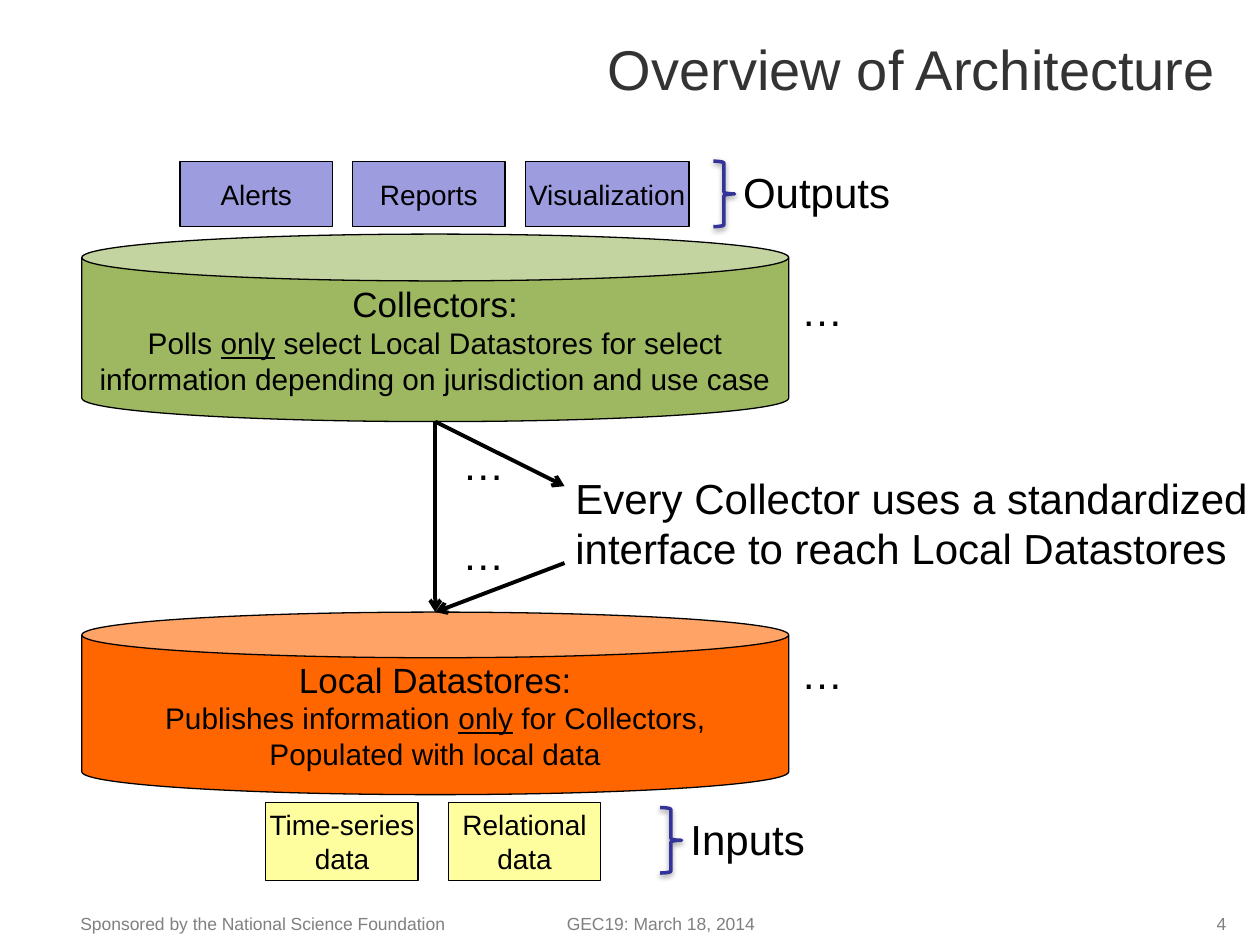
from lxml import etree
from pptx import Presentation
from pptx.dml.color import RGBColor
from pptx.enum.shapes import MSO_CONNECTOR, MSO_SHAPE
from pptx.enum.text import MSO_ANCHOR, PP_ALIGN
from pptx.oxml import parse_xml
from pptx.oxml.ns import nsdecls, qn
from pptx.util import Cm, Pt

STRAIGHT = MSO_CONNECTOR.STRAIGHT
RECT, CAN, BRACE = MSO_SHAPE.RECTANGLE, MSO_SHAPE.CAN, MSO_SHAPE.RIGHT_BRACE
MIDDLE = MSO_ANCHOR.MIDDLE
LEFT, CENTER, RIGHT = PP_ALIGN.LEFT, PP_ALIGN.CENTER, PP_ALIGN.RIGHT

FONT = "Arial"
COLORS = {
    "text": "000000", "title": "333333", "footer": "808080",
    "output": "9C9CDF", "collector": "9DB861", "datastore": "FF6600",
    "input": "FFFE9E", "brace": "333399",
}
CAN_X, CAN_W = 1.65, 14.25
CAN_MID = CAN_X + CAN_W / 2
COLLECTOR_Y, COLLECTOR_H = 4.72, 3.78
DATASTORE_Y, DATASTORE_H = 12.34, 3.68
ELLIPSES = [(9.07, 8.71), (9.07, 10.52), (15.9, 5.61), (15.9, 12.93)]
FOOTERS = [
    ("Sponsored by the National Science Foundation", 1.37, 9.19, LEFT),
    ("GEC19: March 18, 2014", 10.46, 5.72, CENTER),
    ("4", 23.5, 1.47, RIGHT),
]


def rgb(name):
    return RGBColor.from_string(COLORS[name])


def set_all(obj, values):
    for name, value in values.items():
        setattr(obj, name, value)


def write(tf, paragraphs, align=LEFT, color="text"):
    """Fill a text frame from (size, runs) pairs; a run starting with _ is underlined."""
    for i, (size, runs) in enumerate(paragraphs):
        p = tf.paragraphs[0] if i == 0 else tf.add_paragraph()
        p.alignment = align
        for text in runs:
            r = p.add_run()
            r.text = text.lstrip("_")
            set_all(r.font, {"name": FONT, "size": Pt(size)})
            r.font.color.rgb = rgb(color)
            if text.startswith("_"):
                r.font.underline = True


def add_title(s, text):
    sp = s.shapes.title
    set_all(sp, {"left": Cm(1.9), "top": Cm(0), "width": Cm(22.86), "height": Cm(2.74)})
    sp.text_frame.vertical_anchor = MIDDLE
    write(sp.text_frame, [(32, [text])], RIGHT, "title")


def add_label(s, text, x, y, w, h=1.27, size=24, align=LEFT, color="text", wrap=False):
    tf = s.shapes.add_textbox(Cm(x), Cm(y), Cm(w), Cm(h)).text_frame
    tf.word_wrap = wrap
    write(tf, [(size, [text])], align, color)


def add_block(s, kind, x, y, w, h, fill, paragraphs):
    sp = s.shapes.add_shape(kind, Cm(x), Cm(y), Cm(w), Cm(h))
    sp.shadow.inherit = False
    sp.fill.solid()
    sp.fill.fore_color.rgb = rgb(fill)
    sp.line.color.rgb = rgb("text")
    sp.line.width = Pt(0.75)
    tf = sp.text_frame
    set_all(tf, {"margin_left": 0, "margin_right": 0,
                 "vertical_anchor": MIDDLE, "word_wrap": True})
    write(tf, paragraphs, CENTER)


def add_box_row(s, boxes, x, y, step, h, fill):
    for i, (text, w) in enumerate(boxes):
        add_block(s, RECT, x + i * step, y, w, h, fill, [(16, [text])])


def add_brace(s, x, y):
    sp = s.shapes.add_shape(BRACE, Cm(x), Cm(y), Cm(0.43), Cm(1.32))
    sp.fill.background()
    sp.line.color.rgb = rgb("brace")
    sp.line.width = Pt(2)
    sp.shadow.inherit = False
    effects = sp._element.spPr.find(qn("a:effectLst"))
    effects.append(parse_xml(
        f'<a:outerShdw {nsdecls("a")} blurRad="40000" dist="20000" dir="5400000" '
        'rotWithShape="0"><a:srgbClr val="000000"><a:alpha val="38000"/>'
        '</a:srgbClr></a:outerShdw>'))


def add_arrow(s, start, end):
    cxn = s.shapes.add_connector(STRAIGHT, *(Cm(v) for v in (*start, *end)))
    cxn.line.color.rgb = rgb("text")
    cxn.line.width = Pt(2.25)
    etree.SubElement(cxn.line._get_or_add_ln(), qn("a:tailEnd"), type="arrow")
    etree.SubElement(cxn._element.spPr, qn("a:effectLst"))


def main():
    prs = Presentation()
    prs.slide_width, prs.slide_height = Cm(25.4), Cm(19.05)
    s = prs.slides.add_slide(prs.slide_layouts[5])

    for text, x, w, align in FOOTERS:
        add_label(s, text, x, 18.29, w, 0.69, 10, align, "footer", True)
    add_title(s, "Overview of Architecture")

    add_block(s, CAN, CAN_X, DATASTORE_Y, CAN_W, DATASTORE_H, "datastore", [
        (20, ["Local Datastores:"]),
        (17, ["Publishes information ", "_only", " for Collectors,"]),
        (17, ["Populated with local data"])])
    add_block(s, CAN, CAN_X, COLLECTOR_Y, CAN_W, COLLECTOR_H, "collector", [
        (20, ["Collectors:"]),
        (17, ["Polls ", "_only", " select Local Datastores for select "
              "information depending on jurisdiction and use case"])])

    collector_bottom = (CAN_MID, COLLECTOR_Y + COLLECTOR_H)
    datastore_top = (CAN_MID, DATASTORE_Y)
    add_arrow(s, collector_bottom, datastore_top)
    add_arrow(s, (11.38, 11.35), datastore_top)
    add_arrow(s, collector_bottom, (11.38, 9.8))

    add_box_row(s, [("Alerts", 3.07), ("Reports", 3.07), ("Visualization", 3.3)],
                3.63, 3.25, 3.48, 1.32, "output")
    add_label(s, "Outputs", 14.73, 3.23, 3.51)
    add_brace(s, 14.38, 3.25)

    add_box_row(s, [("Time-series data", 3.07), ("Relational data", 3.07)],
                5.36, 16.18, 3.68, 1.57, "input")
    add_label(s, "Inputs", 13.67, 16.28, 2.84)
    add_brace(s, 13.31, 16.28)

    for x, y in ELLIPSES:
        add_label(s, "…", x, y, 1.37)
    add_label(s, "Every Collector uses a standardized interface to reach Local Datastores",
              11.35, 9.4, 14.3, 2.31, wrap=True)
    prs.save("out.pptx")


if __name__ == "__main__":
    main()
